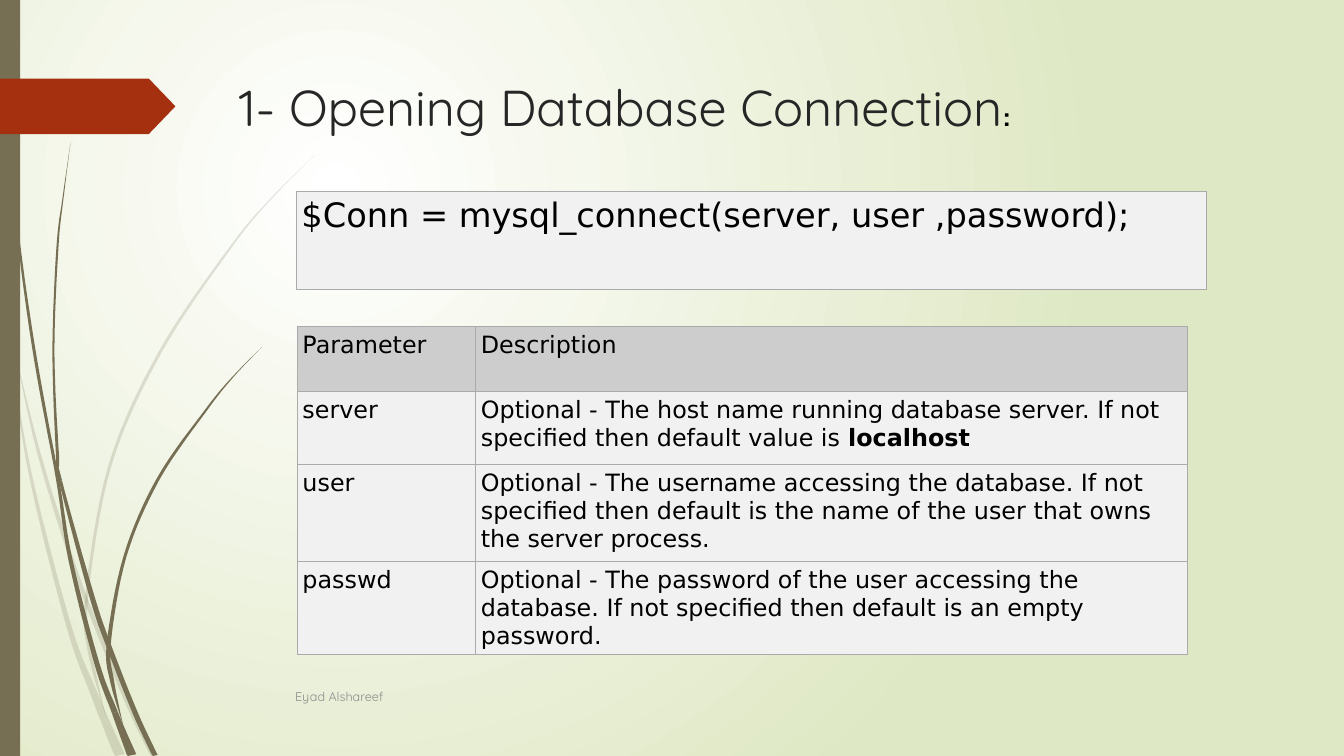
from pptx import Presentation, util as u
from pptx.dml.color import RGBColor
from pptx.enum import shapes, text
from pptx.oxml import parse_xml
from pptx.oxml.ns import nsdecls
from lxml import etree

WHITE = RGBColor(0xFF, 0xFF, 0xFF)
LIME = RGBColor(0xDF, 0xE8, 0xC4)
OLIVE = RGBColor(0x76, 0x6F, 0x54)
RUST = RGBColor(0xA5, 0x30, 0x10)
INK = RGBColor(0x26, 0x26, 0x26)
BLACK = RGBColor(0, 0, 0)
GREY = RGBColor(0x8C, 0x8C, 0x8C)
HEADER = RGBColor(0xCD, 0xCD, 0xCD)
BODY = RGBColor(0xF1, 0xF1, 0xF1)
BORDER = RGBColor(0xAA, 0xAA, 0xAA)

WIDTH, HEIGHT = 13.33, 7.5
CURVE_STEPS = 8
UNITS_PER_INCH = 1000
TITLE = [("1- Opening Database Connection", "Quicksand", 36, INK, False),
         (":", "Arial", 18, BLACK, True)]
AUTHOR = [("Eyad Alshareef", "Quicksand", 9, GREY, False)]
CALL = [[["$Conn = mysql_connect(server, user ,password);"]]]
PARAMETERS = [
    [["Parameter"], ["Description"]],
    [["server"], ["Optional - The host name running database server. "
                  "If not specified then default value is ", "localhost"]],
    [["user"], ["Optional - The username accessing the database. If not specified "
                "then default is the name of the user that owns the server process."]],
    [["passwd"], ["Optional - The password of the user accessing the database. "
                  "If not specified then default is an empty password."]],
]

# Each stem: (x, y, thickness) stations, then the stations where a section ends.
PALE_STEMS = [
    ([(0.14, 3.45, 0), (0.36, 4.4, 0.03), (0.6, 5.21, 0.04), (0.86, 5.97, 0.04),
      (1.25, 6.93, 0.05), (1.52, 7.5, 0.05)], [3]),
    ([(0.02, 2.9, 0.04), (0.1, 3.46, 0.01), (0.3, 4.7, 0.03), (0.68, 6.2, 0.05),
      (0.94, 6.9, 0.07), (1.19, 7.5, 0.1)], [1, 4]),
    ([(3.12, 1.54, 0), (2.68, 1.98, 0.01), (2.29, 2.45, 0.02), (1.59, 3.49, 0.03),
      (1.09, 4.62, 0.03), (0.86, 5.92, 0.03), (0.89, 6.46, 0.04), (1.05, 7.11, 0)], [5]),
]
DARK_STEMS = [
    ([(0.04, 0, 0.01), (0.08, 1.1, 0.01), (0.18, 2.33, 0.02), (0.35, 3.55, 0.03),
      (0.57, 4.75, 0.03), (0.7, 5.56, 0.04), (0.96, 6.58, 0.05), (1.14, 7.07, 0.06),
      (1.31, 7.5, 0.09)], [4, 7]),
    ([(0.7, 1.41, 0), (0.63, 1.93, 0.01), (0.57, 2.45, 0.02), (0.53, 3.49, 0.02),
      (0.57, 4.51, 0.03), (0.6, 4.77, 0.03), (0.91, 5.91, 0.05), (1.08, 6.41, 0.05),
      (1.34, 7.07, 0.05), (1.54, 7.5, 0.05)], [5, 7]),
    ([(2.6, 3.44, 0), (2.31, 3.74, 0.01), (2.05, 4.06, 0.02), (1.57, 4.75, 0.03),
      (1.24, 5.52, 0.03), (1.08, 6.38, 0.04), (1.11, 6.75, 0.04), (1.22, 7.19, 0)], [5]),
]


def box(*lengths):
    return [u.Inches(length) for length in lengths]


def paint(part, color, opacity=None):
    part.shadow.inherit = False
    part.line.fill.background()
    part.fill.solid()
    part.fill.fore_color.rgb = color
    if opacity:
        shade = part.element.xpath("./p:spPr/a:solidFill/a:srgbClr")[0]
        shade.append(parse_xml(f'<a:alpha {nsdecls("a")} val="{opacity * 1000}"/>'))


def smooth_stations(stations):
    ends = [stations[0], *stations, stations[-1]]
    for a, b, c, d in zip(ends, ends[1:], ends[2:], ends[3:]):
        for step in range(CURVE_STEPS):
            t = step / CURVE_STEPS
            yield tuple(
                q + t / 2 * (r - p + t * (2 * p - 5 * q + 4 * r - s
                                          + t * (3 * (q - r) + s - p)))
                for p, q, r, s in zip(a, b, c, d))
    yield stations[-1]


def add_stem(slide, stations, breaks, opacity):
    spine = list(smooth_stations(stations))
    left, right = [], []
    for i, (x, y, thickness) in enumerate(spine):
        before, after = spine[max(i - 1, 0)], spine[min(i + 1, len(spine) - 1)]
        dx, dy = after[0] - before[0], after[1] - before[1]
        reach = thickness / 2 / (dx * dx + dy * dy) ** 0.5
        for side, sign in ((left, -1), (right, 1)):
            side.append((max(x + sign * dy * reach, 0) * UNITS_PER_INCH,
                         min(max(y - sign * dx * reach, 0), HEIGHT) * UNITS_PER_INCH))
    for start, end in zip([0, *breaks], [*breaks, len(stations) - 1]):
        section = slice(start * CURVE_STEPS, end * CURVE_STEPS + 1)
        outline = left[section] + right[section][::-1]
        builder = slide.shapes.build_freeform(
            *outline[0], scale=u.Inches(1) / UNITS_PER_INCH)
        builder.add_line_segments(outline[1:], close=True)
        paint(builder.convert_to_shape(), OLIVE, opacity)


def add_runs(paragraph, runs):
    for words, font, size, color, bold in runs:
        run = paragraph.add_run()
        run.text = words
        run.font.name, run.font.size, run.font.bold = font, u.Pt(size), bold
        run.font.color.rgb = color


def format_cell(cell, runs, size, color):
    cell.margin_left = cell.margin_right = u.Inches(0.05)
    cell.margin_top = cell.margin_bottom = u.Inches(0.05)
    cell.fill.solid()
    cell.fill.fore_color.rgb = color
    properties = cell._tc.get_or_add_tcPr()
    for i, edge in enumerate(("lnL", "lnR", "lnT", "lnB")):
        properties.insert(i, parse_xml(
            f'<a:{edge} {nsdecls("a")} w="{u.Pt(0.75)}"><a:solidFill>'
            f'<a:srgbClr val="{BORDER}"/></a:solidFill></a:{edge}>'))
    add_runs(cell.text_frame.paragraphs[0],
             [(words, "DejaVu Sans", size, BLACK, i > 0) for i, words in enumerate(runs)])


def add_grid(slide, rows, left, top, columns, heights, size, header=None):
    grid = slide.shapes.add_table(
        len(rows), len(columns), *box(left, top, sum(columns), sum(heights))).table
    grid.first_row = grid.horz_banding = False
    for column, width in zip(grid.columns, columns):
        column.width = u.Inches(width)
    for r, (row, height) in enumerate(zip(rows, heights)):
        grid.rows[r].height = u.Inches(height)
        for c, runs in enumerate(row):
            format_cell(grid.cell(r, c), runs, size, header if header and r == 0 else BODY)


def set_background(slide):
    fill = slide.background.fill
    fill.gradient()
    for stop, position, color in zip(fill.gradient_stops, (0, 1), (WHITE, LIME)):
        stop.position = position
        stop.color.rgb = color
    gradient = slide.element.xpath(".//p:bgPr/a:gradFill")[0]
    for linear in gradient.xpath("./a:lin"):
        gradient.replace(linear, etree.fromstring(
            f'<a:path {nsdecls("a")} path="circle">'
            '<a:fillToRect l="50000" t="50000" r="100000" b="100000"/></a:path>'))


def main():
    deck = Presentation()
    deck.slide_width, deck.slide_height = box(WIDTH, HEIGHT)
    slide = deck.slides.add_slide(deck.slide_layouts[5])
    set_background(slide)

    for stems, opacity in ((PALE_STEMS, 20), (DARK_STEMS, None)):
        for stations, breaks in stems:
            add_stem(slide, stations, breaks, opacity)
    paint(slide.shapes.add_shape(shapes.MSO_SHAPE.RECTANGLE, *box(0, 0, 0.2, HEIGHT)), OLIVE)
    marker = slide.shapes.add_shape(shapes.MSO_SHAPE.PENTAGON, *box(0, 0.78, 1.74, 0.55))
    marker.adjustments[0] = 0.48
    paint(marker, RUST)

    add_grid(slide, CALL, 2.94, 1.9, [9.03], [0.97], 24)
    add_grid(slide, PARAMETERS, 2.95, 3.24, [1.77, 7.06], [0.64, 0.73, 0.96, 0.92], 17, HEADER)

    title = slide.shapes.title
    author = slide.shapes.add_textbox(*box(2.83, 6.71, 8.33, 0.4))
    title.left, title.top, title.width, title.height = box(2.27, 0.71, 8.7, 0.71)
    for part, runs, anchor, wrap in ((title, TITLE, text.MSO_ANCHOR.TOP, False),
                                     (author, AUTHOR, text.MSO_ANCHOR.MIDDLE, True)):
        frame = part.text_frame
        frame.word_wrap, frame.vertical_anchor = wrap, anchor
        frame.auto_size = text.MSO_AUTO_SIZE.NONE
        frame.paragraphs[0].alignment = text.PP_ALIGN.LEFT
        add_runs(frame.paragraphs[0], runs)

    deck.save("out.pptx")


if __name__ == "__main__":
    main()
